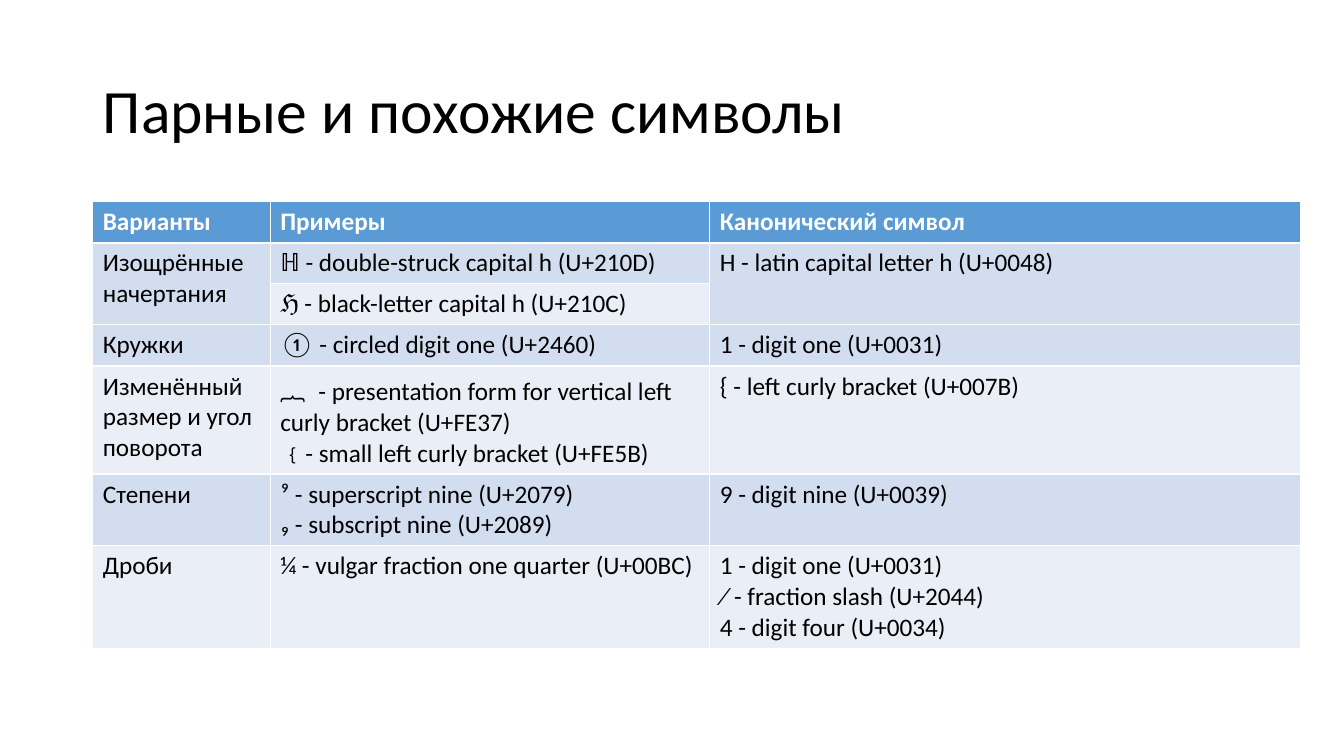
"""Build a slide with a table of paired and similar Unicode symbols."""
from pptx import Presentation
from pptx.dml.color import RGBColor
from pptx.enum.text import MSO_ANCHOR, PP_ALIGN
from pptx.util import Inches, Pt

LEFT, MIDDLE = PP_ALIGN.LEFT, MSO_ANCHOR.MIDDLE
TITLE_ONLY = 5
FONT = "Calibri"
BLACK, WHITE = "000000", "FFFFFF"
HEADER_FILL, DARK_BAND, LIGHT_BAND = "5B9BD5", "D2DEEF", "EAEFF7"

HEADING = "Парные и похожие символы"
HEADER = ("Варианты", "Примеры", "Канонический символ")
VARIANTS = [
    ("Изощрённые начертания",
     "ℍ - double-struck capital h (U+210D)",
     "H - latin capital letter h (U+0048)"),
    (None, "ℌ - black-letter capital h (U+210C)", None),
    ("Кружки",
     "① - circled digit one (U+2460)",
     "1 - digit one (U+0031)"),
    ("Изменённый размер и угол поворота",
     "︷ - presentation form for vertical left curly bracket (U+FE37)\n"
     "﹛- small left curly bracket (U+FE5B)",
     "{ - left curly bracket (U+007B)"),
    ("Степени",
     "⁹ - superscript nine (U+2079)\n₉ - subscript nine (U+2089)",
     "9 - digit nine (U+0039)"),
    ("Дроби",
     "¼ - vulgar fraction one quarter (U+00BC)",
     "1 - digit one (U+0031)\n⁄ - fraction slash (U+2044)\n"
     "4 - digit four (U+0034)"),
]
COLUMN_WIDTHS = (1.76, 4.36, 5.86)
ROW_HEIGHTS = (0.41, 0.35, 0.35, 0.41, 0.41, 0.41, 0.41)
TABLE_LEFT, TABLE_TOP, TABLE_HEIGHT = 0.92, 2, 4.31


def rgb(value):
    return RGBColor.from_string(value)


def style(paragraph, size, color, bold=False):
    font = paragraph.font
    font.name, font.size, font.bold = FONT, Pt(size), bold
    font.color.rgb = rgb(color)


def add_heading(slide):
    title = slide.shapes.title
    title.left, title.top = Inches(0.92), Inches(0.4)
    title.width, title.height = Inches(11.5), Inches(1.45)
    title.text_frame.text = HEADING
    title.text_frame.vertical_anchor = MIDDLE
    paragraph = title.text_frame.paragraphs[0]
    paragraph.alignment = LEFT
    paragraph.line_spacing = 0.9
    style(paragraph, 44, BLACK)


def add_variants(slide):
    rows = [HEADER, *VARIANTS]
    frame = slide.shapes.add_table(
        len(rows), len(HEADER), Inches(TABLE_LEFT), Inches(TABLE_TOP),
        Inches(sum(COLUMN_WIDTHS)), Inches(TABLE_HEIGHT))
    table = frame.table
    for column, width in zip(table.columns, COLUMN_WIDTHS):
        column.width = Inches(width)
    for row, height in zip(table.rows, ROW_HEIGHTS):
        row.height = Inches(height)
    frame.height = Inches(TABLE_HEIGHT)

    for r, texts in enumerate(rows):
        is_header = r == 0
        band = HEADER_FILL if is_header else DARK_BAND if r % 2 else LIGHT_BAND
        for c, text in enumerate(texts):
            cell = table.cell(r, c)
            cell.fill.solid()
            cell.fill.fore_color.rgb = rgb(band)
            if text is None:
                table.cell(r - 1, c).merge(cell)
                continue
            cell.text = text
            for paragraph in cell.text_frame.paragraphs:
                style(paragraph, 18, WHITE if is_header else BLACK, is_header)


def main():
    deck = Presentation()
    deck.slide_width, deck.slide_height = Inches(13.33), Inches(7.5)
    slide = deck.slides.add_slide(deck.slide_layouts[TITLE_ONLY])
    add_heading(slide)
    add_variants(slide)
    deck.save("out.pptx")


if __name__ == "__main__":
    main()
